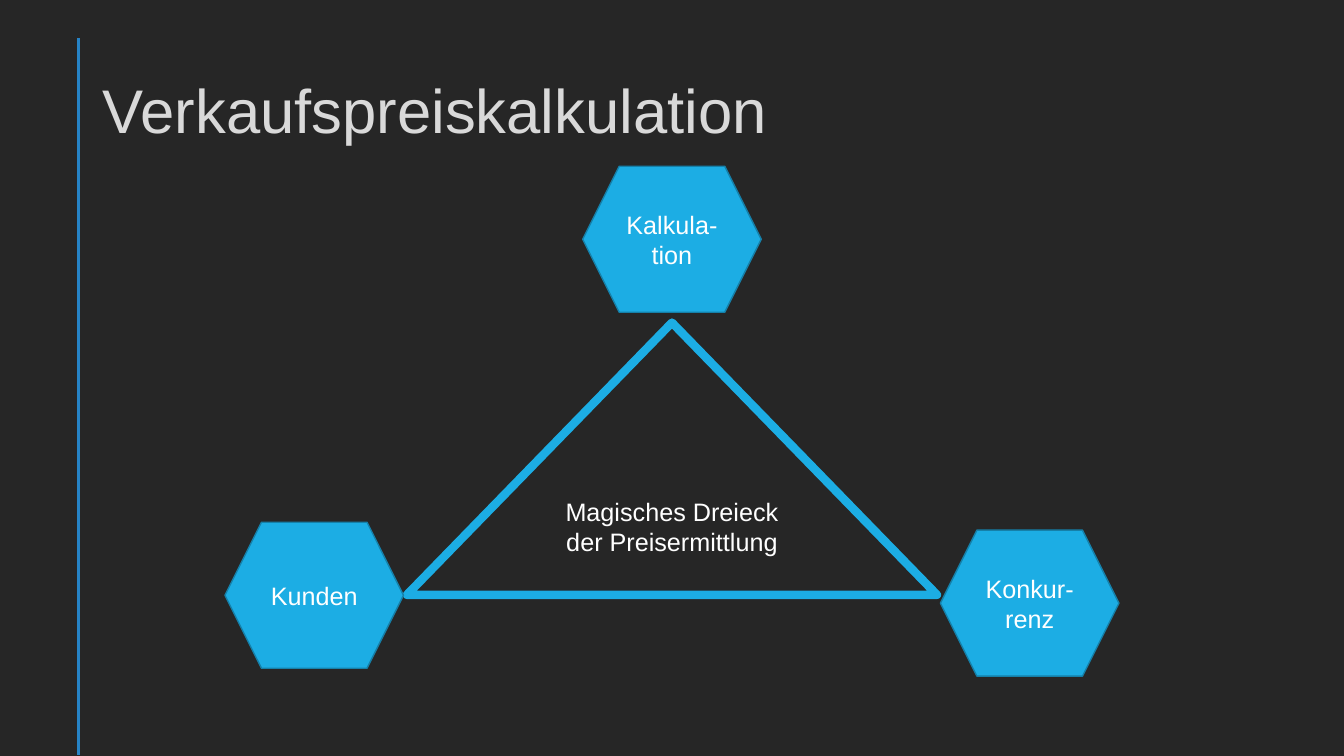
from collections import namedtuple

from lxml.etree import SubElement
from pptx import Presentation
from pptx.dml.color import RGBColor
from pptx.enum.shapes import MSO_CONNECTOR as Connector, MSO_SHAPE as Shape
from pptx.enum.text import MSO_ANCHOR as Anchor, PP_ALIGN as Align
from pptx.oxml.ns import qn
from pptx.util import Cm, Pt

Box = namedtuple("Box", "left top width height")
BACKGROUND, TITLE, WHITE = "262626", "D9D9D9", "FFFFFF"
ACCENT, OUTLINE, RULE = "1CADE4", "1580A9", "2683C6"


def paint(color_format, color):
    """Set a colour format from a hex string."""
    color_format.rgb = RGBColor.from_string(color)


def write(frame, text, size, color, align):
    """Write one centred-in-height paragraph into a text frame."""
    frame.word_wrap = True
    frame.vertical_anchor = Anchor.MIDDLE
    para = frame.paragraphs[0]
    para.alignment = align
    span = para.add_run()
    span.text = text
    span.font.name = "Arial"
    span.font.size = Pt(size)
    paint(span.font.color, color)
    return para


def add_node(page, kind, box, text, fill, line, width):
    """Add a labelled shape, hollow when no fill is given."""
    node = page.shapes.add_shape(kind, *(Cm(length) for length in box))
    node.shadow.inherit = False
    if fill:
        node.fill.solid()
        paint(node.fill.fore_color, fill)
    else:
        node.fill.background()
    paint(node.line.color, line)
    node.line.width = Pt(width)
    write(node.text_frame, text, 18, WHITE, Align.CENTER)


def add_rule(page, left, top, bottom):
    """Draw the vertical rule beside the title."""
    rule = page.shapes.add_connector(
        Connector.STRAIGHT, Cm(left), Cm(top), Cm(left), Cm(bottom))
    paint(rule.line.color, RULE)
    rule.line.width = Pt(2)
    SubElement(rule._element.spPr, qn("a:effectLst"))


def add_title(page, box, text):
    """Place and fill the title placeholder."""
    title = page.shapes.title
    title.left, title.top, title.width, title.height = (Cm(length) for length in box)
    para = write(title.text_frame, text, 44, TITLE, Align.LEFT)
    para.line_spacing = 0.9


def add_price_triangle(page, box):
    """Draw the triangle with a hexagon at each corner."""
    width, height = 4.5, 3.68
    center = box.left + box.width / 2
    right = box.left + box.width - width
    bottom = box.top + box.height - height
    side = 13.36
    triangle = Box(center - side / 2, box.top + 3.94, side, 6.86)
    corners = [
        ("Konkur-renz", right, bottom),
        ("Kunden", box.left, bottom - 0.2),
        ("Kalkula-tion", center - width / 2, box.top),
    ]
    add_node(page, Shape.ISOSCELES_TRIANGLE, triangle,
             "Magisches Dreieck der Preisermittlung", None, ACCENT, 6)
    for text, left, top in corners:
        add_node(page, Shape.HEXAGON, Box(left, top, width, height),
                 text, ACCENT, OUTLINE, 1)


def main():
    """Build and save the deck."""
    deck = Presentation()
    deck.slide_width, deck.slide_height = Cm(33.87), Cm(19.05)
    page = deck.slides.add_slide(deck.slide_layouts[5])
    page.background.fill.solid()
    paint(page.background.fill.fore_color, BACKGROUND)
    add_rule(page, 1.98, 0.97, 19.03)
    add_title(page, Box(2.34, 1.02, 29.21, 3.68), "Verkaufspreiskalkulation")
    add_price_triangle(page, Box(5.67, 4.19, 22.53, 12.85))
    deck.save("out.pptx")


if __name__ == "__main__":
    main()
